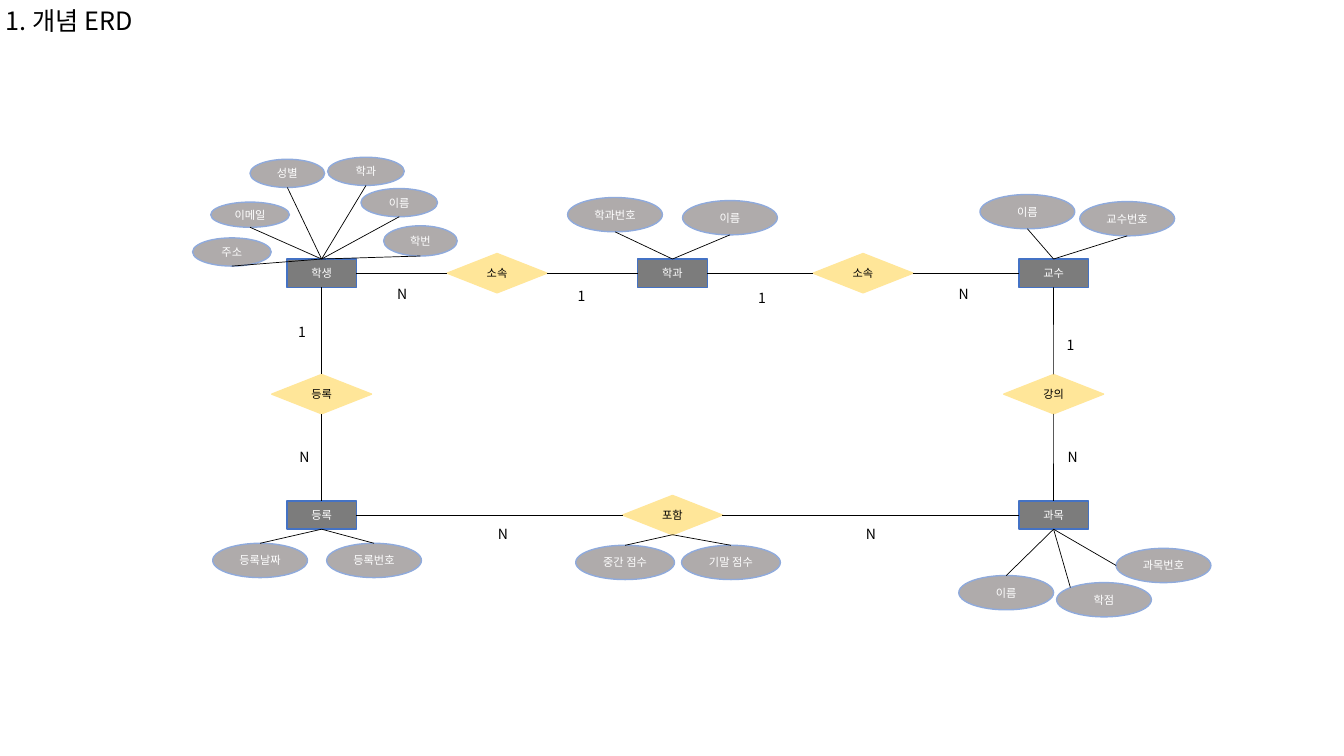
import pptx
import pptx.util
import pptx.dml.color
import pptx.enum.shapes
import pptx.enum.text
import lxml.etree

FONT = "Noto Sans CJK KR"
TITLE = "1. 개념 ERD"

# Grid lines in inches; a cell of 0.5 lies halfway between two lines.
COLS = (3.19, 6.67, 10.45)
ROWS = (2.71, 5.11)

# Cell (column, row): name
HUBS = {(0, 0): "학생", (1, 0): "학과", (2, 0): "교수",
        (2, 1): "과목", (0, 1): "등록"}
TIES = {(0.5, 0): "소속", (1.5, 0): "소속", (1, 1): "포함",
        (0, 0.5): "등록", (2, 0.5): "강의"}

# Cells joined in reading order, left to right or top to bottom
CHAINS = [
    [(0, 0), (0.5, 0), (1, 0), (1.5, 0), (2, 0)],
    [(2, 0), (2, 0.5), (2, 1)],
    [(0, 0), (0, 0.5), (0, 1)],
    [(0, 1), (1, 1), (2, 1)],
]

# Text and centre of each end mark
MARKS = [("N", 3.99, 2.92), ("1", 5.78, 2.94), ("1", 7.57, 2.96),
         ("N", 9.56, 2.92), ("N", 10.64, 4.54), ("1", 10.63, 3.42),
         ("N", 3.02, 4.54), ("1", 3.01, 3.3), ("N", 4.99, 5.3),
         ("N", 8.64, 5.3)]

# Owner cell: name, offset of centre from the owner, size
WIDE, LONG = (0.94, 0.34), (0.98, 0.34)
TRAITS = {
    (1, 0): [("학과번호", (-0.57, -0.58), WIDE), ("이름", (0.57, -0.55), WIDE)],
    (0, 0): [("학번", (0.98, -0.32), (0.73, 0.3)),
             ("학과", (0.44, -1.01), (0.76, 0.28)),
             ("성별", (-0.34, -0.99), (0.74, 0.28)),
             ("이메일", (-0.71, -0.58), (0.78, 0.25)),
             ("주소", (-0.89, -0.21), (0.78, 0.28)),
             ("이름", (0.77, -0.7), (0.76, 0.28))],
    (0, 1): [("등록날짜", (-0.61, 0.45), WIDE), ("등록번호", (0.52, 0.45), WIDE)],
    (2, 0): [("교수번호", (0.73, -0.54), WIDE), ("이름", (-0.26, -0.61), WIDE)],
    (2, 1): [("이름", (-0.47, 0.77), WIDE), ("과목번호", (1.09, 0.5), WIDE),
             ("학점", (0.5, 0.84), WIDE)],
    (1, 1): [("중간 점수", (-0.47, 0.47), LONG), ("기말 점수", (0.58, 0.47), LONG)],
}
# Spokes that end elsewhere than at top or bottom, in half sizes
SIDES = {"과목번호": (-1, 0), "학점": (-0.71, -0.71)}

KIND = pptx.enum.shapes.MSO_SHAPE
STYLES = {
    "hub": dict(kind=KIND.RECTANGLE, fill="7C7C7C", line="4472C4", ink="FFFFFF"),
    "tie": dict(kind=KIND.FLOWCHART_DECISION, fill="FFE699", line="FFE699",
                ink="000000"),
    "trait": dict(kind=KIND.OVAL, fill="AFABAB", line="8FAADC", ink="FFFFFF"),
}
HUB, TIE, MARK = (0.69, 0.28), (0.99, 0.39), (0.3, 0.27)
TOP, LEFT, BOTTOM, RIGHT = range(4)

inch = pptx.util.Inches


def tint(code):
    return pptx.dml.color.RGBColor.from_string(code)


def along(lines, pos):
    low = int(pos)
    high = min(low + 1, len(lines) - 1)
    return lines[low] + (lines[high] - lines[low]) * (pos - low)


def centre(cell):
    return along(COLS, cell[0]), along(ROWS, cell[1])


def frame(mid, size):
    """Turn a centre and a size into left, top, width, height."""
    return [inch(v) for v in (mid[0] - size[0] / 2, mid[1] - size[1] / 2, *size)]


def write(shape, text, size, ink, **form):
    body = shape.text_frame
    body.word_wrap = True
    for name, value in form.items():
        setattr(body, name, value)
    run = body.paragraphs[0].add_run()
    run.text = text
    look = dict(name=FONT, size=pptx.util.Pt(size))
    for name, value in look.items():
        setattr(run.font, name, value)
    run.font.color.rgb = tint(ink)
    east = lxml.etree.SubElement(run.font._element, pptx.oxml.ns.qn("a:ea"))
    east.set("typeface", FONT)
    return body.paragraphs[0]


def node(slide, style, text, mid, size):
    look = STYLES[style]
    shape = slide.shapes.add_shape(look["kind"], *frame(mid, size))
    shape.shadow.inherit = False
    shape.fill.solid()
    shape.fill.fore_color.rgb = tint(look["fill"])
    shape.line.color.rgb = tint(look["line"])
    shape.line.width = pptx.util.Pt(1)
    para = write(shape, text, 8, look["ink"], margin_left=0, margin_right=0,
                 margin_top=0, margin_bottom=0,
                 vertical_anchor=pptx.enum.text.MSO_ANCHOR.MIDDLE)
    para.alignment = pptx.enum.text.PP_ALIGN.CENTER
    return shape


def wire(slide, start, site, end=(0, 0)):
    """Draw a line from a site of a shape to a point."""
    x, y = (inch(v) for v in end)
    line = slide.shapes.add_connector(
        pptx.enum.shapes.MSO_CONNECTOR.STRAIGHT, x, y, x, y)
    line.begin_connect(start, site)
    line.line.color.rgb = tint("000000")
    line.line.width = pptx.util.Pt(0.5)
    lxml.etree.SubElement(line._element.spPr, pptx.oxml.ns.qn("a:effectLst"))
    return line


def main():
    deck = pptx.Presentation()
    deck.slide_width, deck.slide_height = inch(13.33), inch(7.5)
    slide = deck.slides.add_slide(deck.slide_layouts[6])

    head = slide.shapes.add_textbox(*[inch(v) for v in (-0.04, -0.04, 1.67, 0.52)])
    para = write(head, TITLE, 18, "000000",
                 vertical_anchor=pptx.enum.text.MSO_ANCHOR.MIDDLE)
    para.line_spacing = 0.9

    nodes = {}
    for style, cells, size in (("hub", HUBS, HUB), ("tie", TIES, TIE)):
        for cell, name in cells.items():
            nodes[cell] = node(slide, style, name, centre(cell), size)

    for chain in CHAINS:
        for a, b in zip(chain, chain[1:]):
            out, into = (RIGHT, LEFT) if a[1] == b[1] else (BOTTOM, TOP)
            wire(slide, nodes[a], out).end_connect(nodes[b], into)

    for text, *mid in MARKS:
        box = slide.shapes.add_textbox(*frame(mid, MARK))
        write(box, text, 10, "000000")

    spokes = []
    for cell, traits in TRAITS.items():
        x, y = centre(cell)
        for name, (dx, dy), (w, h) in traits:
            node(slide, "trait", name, (x + dx, y + dy), (w, h))
            above = dy < 0
            sx, sy = SIDES.get(name, (0, 1 if above else -1))
            end = (x + dx + sx * w / 2, y + dy + sy * h / 2)
            spokes.append((nodes[cell], TOP if above else BOTTOM, end))
    for spoke in spokes:
        wire(slide, *spoke)

    deck.save("out.pptx")


if __name__ == "__main__":
    main()
